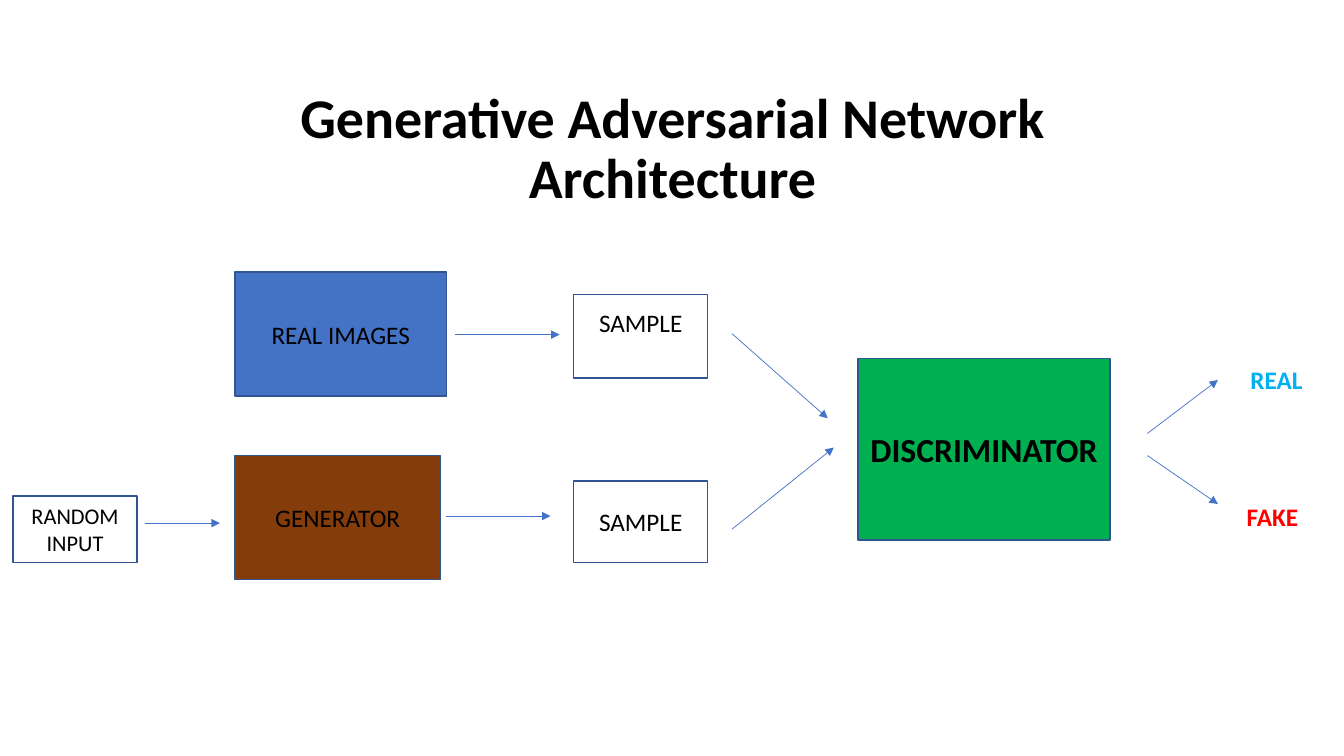
from dataclasses import dataclass

from lxml import etree
from pptx import Presentation
from pptx.dml.color import RGBColor
from pptx.enum.shapes import MSO_CONNECTOR, MSO_SHAPE
from pptx.enum.text import MSO_ANCHOR, PP_ALIGN
from pptx.oxml.ns import qn
from pptx.util import Inches, Pt

RECTANGLE = MSO_SHAPE.RECTANGLE
STRAIGHT = MSO_CONNECTOR.STRAIGHT
CENTER = PP_ALIGN.CENTER
TOP, MIDDLE, BOTTOM = MSO_ANCHOR.TOP, MSO_ANCHOR.MIDDLE, MSO_ANCHOR.BOTTOM


@dataclass(frozen=True)
class Theme:
    font: str = "Calibri"
    ink: str = "000000"
    paper: str = "FFFFFF"
    border: str = "325491"
    blue: str = "4472C4"
    brown: str = "843C0B"
    green: str = "00B050"
    real: str = "00B0F0"
    fake: str = "FF0000"
    title: int = 40
    large: int = 24
    body: int = 18
    small: int = 16
    border_width: float = 1
    arrow_width: float = 0.5


THEME = Theme()


def rgb(color):
    return RGBColor.from_string(color)


def write(frame, text, size, color=THEME.ink, bold=False, anchor=MIDDLE):
    """Set centred text, one paragraph per line."""
    frame.text = text
    frame.word_wrap = True
    frame.vertical_anchor = anchor
    for paragraph in frame.paragraphs:
        paragraph.alignment = CENTER
        for run in paragraph.runs:
            run.font.name = THEME.font
            run.font.size = Pt(size)
            run.font.bold = bold
            run.font.color.rgb = rgb(color)


def add_block(slide, area, text, fill=THEME.paper, size=THEME.body, bold=False):
    block = slide.shapes.add_shape(RECTANGLE, *map(Inches, area))
    block.shadow.inherit = False
    block.fill.solid()
    block.fill.fore_color.rgb = rgb(fill)
    block.line.color.rgb = rgb(THEME.border)
    block.line.width = Pt(THEME.border_width)
    write(block.text_frame, text, size, bold=bold)
    return block


def add_label(slide, area, text, size=THEME.body, color=THEME.ink, anchor=TOP):
    label = slide.shapes.add_textbox(*map(Inches, area))
    write(label.text_frame, text, size, color, True, anchor)
    return label


def add_arrow(slide, start, end):
    arrow = slide.shapes.add_connector(STRAIGHT, *map(Inches, start + end))
    arrow.line.color.rgb = rgb(THEME.blue)
    arrow.line.width = Pt(THEME.arrow_width)
    etree.SubElement(arrow.line._get_or_add_ln(), qn("a:tailEnd"), type="triangle")
    etree.SubElement(arrow._element.spPr, qn("a:effectLst"))


def main():
    deck = Presentation()
    deck.slide_width, deck.slide_height = Inches(13.33), Inches(7.5)
    slide = deck.slides.add_slide(deck.slide_layouts[6])

    # Title
    title = add_label(slide, (1.67, 1.23, 10, 0.91),
                      "Generative Adversarial Network Architecture",
                      THEME.title, anchor=BOTTOM)
    title.text_frame.paragraphs[0].line_spacing = 0.9

    # Sources
    add_block(slide, (0.13, 4.92, 1.23, 0.66), "RANDOM\nINPUT", size=THEME.small)
    add_block(slide, (2.33, 2.7, 2.1, 1.23), "REAL IMAGES", THEME.blue)
    add_block(slide, (2.33, 4.52, 2.04, 1.23), "GENERATOR", THEME.brown)

    # Samples: the text of the upper one sits above its middle
    real_sample = add_block(slide, (5.69, 2.92, 1.33, 0.83), "SAMPLE")
    real_sample.text_frame.margin_bottom = Inches(0.32)
    add_block(slide, (5.69, 4.77, 1.33, 0.81), "SAMPLE")

    # Discriminator and its verdicts
    add_block(slide, (8.51, 3.56, 2.5, 1.8), "DISCRIMINATOR",
              THEME.green, THEME.large, True)
    add_label(slide, (12.25, 3.57, 0.82, 0.4), "REAL", color=THEME.real)
    add_label(slide, (12.21, 4.92, 0.82, 0.4), "FAKE", color=THEME.fake)

    # Flow
    for start, end in (
        ((1.44, 5.19), (2.18, 5.19)),
        ((4.51, 3.32), (5.55, 3.32)),
        ((4.42, 5.12), (5.46, 5.12)),
        ((7.26, 3.31), (8.21, 4.15)),
        ((7.26, 5.25), (8.27, 4.44)),
        ((11.38, 4.3), (12.08, 3.77)),
        ((11.38, 4.52), (12.08, 5)),
    ):
        add_arrow(slide, start, end)

    deck.save("out.pptx")


if __name__ == "__main__":
    main()
